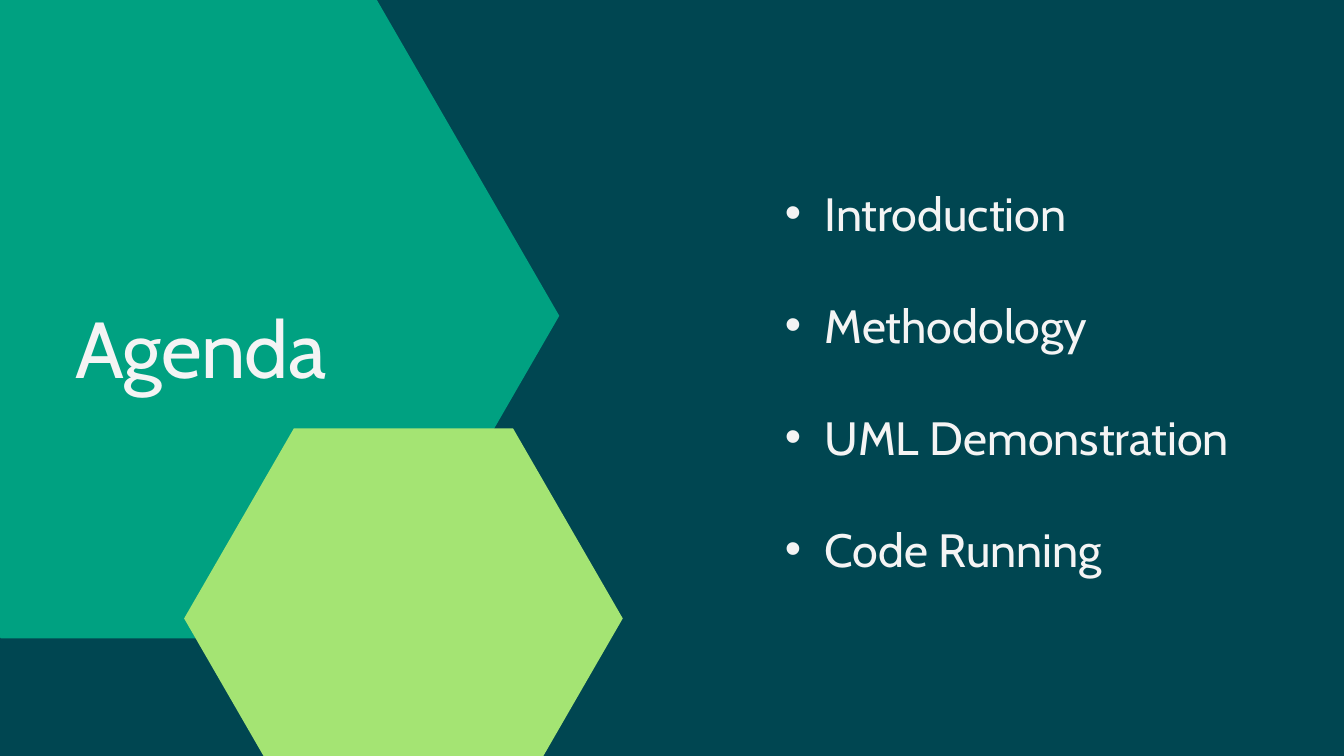
import pptx
import pptx.dml.color
import pptx.oxml.ns
import pptx.util
from lxml import etree

Cm = pptx.util.Cm
Pt = pptx.util.Pt
COLORS = {"night": "004651", "green": "00A181", "lime": "A4E473", "text": "F4F4F4"}
TOPICS = ["Introduction", "Methodology", "UML Demonstration", "Code Running"]


def rgb(name):
    return pptx.dml.color.RGBColor.from_string(COLORS[name])


def add_hexagon(slide, left, top, width, height, color):
    corners = [(1, 0.5), (0.75, 1), (0.25, 1), (0, 0.5), (0.25, 0), (0.75, 0)]
    points = [(Cm(left + width * x), Cm(top + height * y)) for x, y in corners]
    outline = slide.shapes.build_freeform(*points[0])
    outline.add_line_segments(points[1:], close=True)
    hexagon = outline.convert_to_shape()
    hexagon.shadow.inherit = False
    hexagon.fill.solid()
    hexagon.fill.fore_color.rgb = rgb(color)
    hexagon.line.fill.background()


def add_text(slide, text, left, top, width, height, *, size, leading,
             spacing=None, bullet=None):
    box = slide.shapes.add_textbox(Cm(left), Cm(top), Cm(width), Cm(height))
    frame = box.text_frame
    frame.word_wrap = True
    frame.margin_left = frame.margin_top = frame.margin_right = frame.margin_bottom = 0
    paragraph = frame.paragraphs[0]
    paragraph.line_spacing = Pt(leading)
    run = paragraph.add_run()
    run.text = text
    run.font.name = "Cabin"
    run.font.size = Pt(size)
    run.font.color.rgb = rgb("text")
    if spacing is not None:
        run.font._element.set("spc", str(round(spacing * 100)))
    if bullet:
        paragraph.level = 1
        properties = paragraph._p.get_or_add_pPr()
        properties.set("marL", str(Cm(3)))
        properties.set("indent", str(-Cm(1.5)))
        font = etree.SubElement(properties, pptx.oxml.ns.qn("a:buFont"))
        font.set("typeface", "Arial")
        mark = etree.SubElement(properties, pptx.oxml.ns.qn("a:buChar"))
        mark.set("char", bullet)


def add_topics(slide):
    for row, topic in enumerate(TOPICS):
        add_text(slide, topic, 28.17, 6.63 + 4.23 * row, 19.15, 2.36,
                 size=50, leading=70, bullet="•")


def main():
    deck = pptx.Presentation()
    deck.slide_width, deck.slide_height = Cm(50.8), Cm(28.58)
    slide = deck.slides.add_slide(deck.slide_layouts[6])
    slide.background.fill.solid()
    slide.background.fill.fore_color.rgb = rgb("night")
    add_hexagon(slide, -7.01, -0.25, 28.15, 24.38, "green")
    add_hexagon(slide, 6.96, 16.2, 16.58, 14.36, "lime")
    add_text(slide, "Agenda", 2.84, 11.33, 12.4, 3.58,
             size=85, leading=102, spacing=-0.8)
    add_topics(slide)
    deck.save("out.pptx")


if __name__ == "__main__":
    main()
